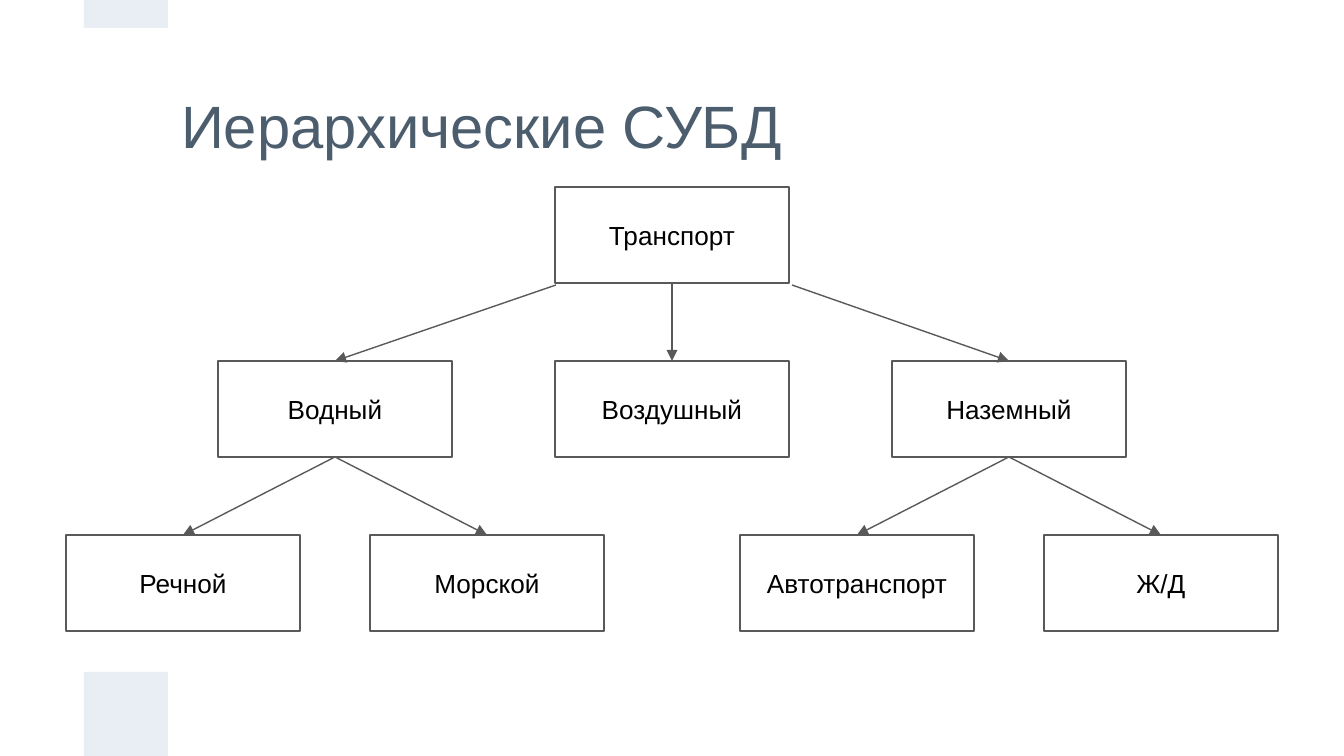
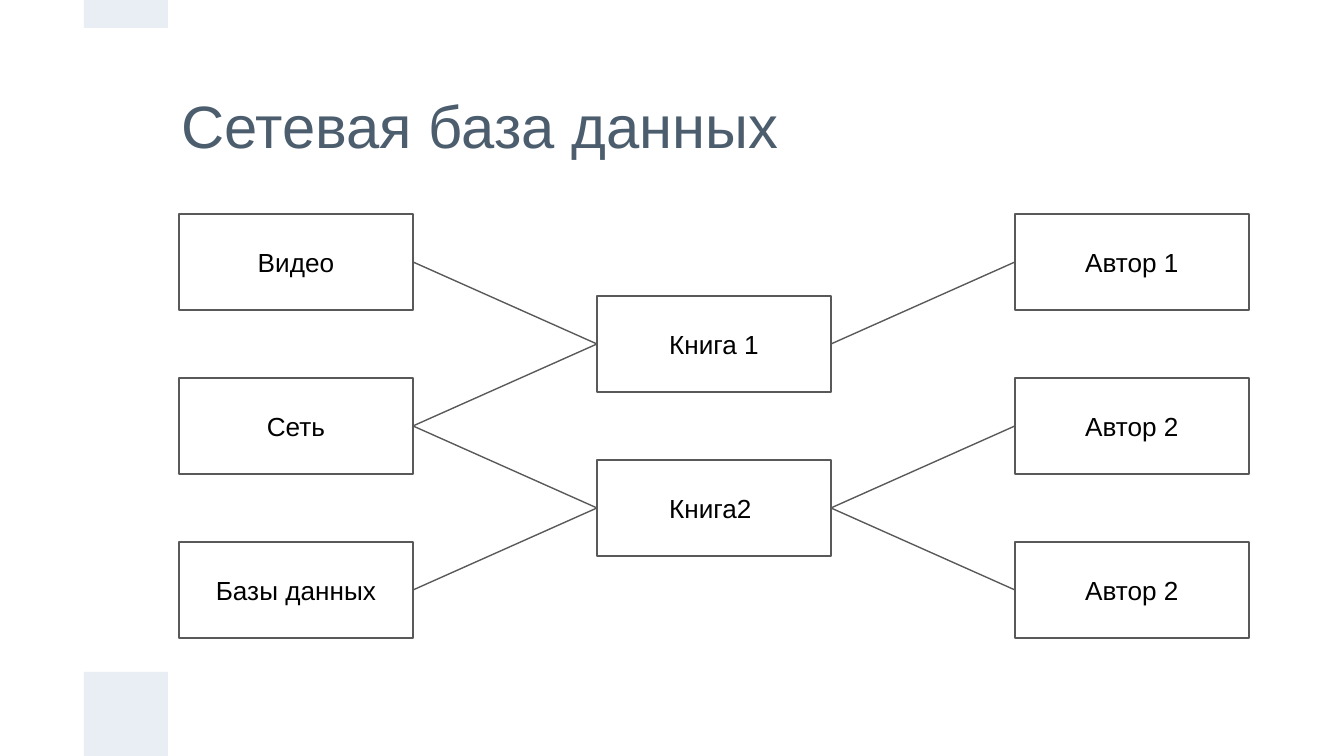
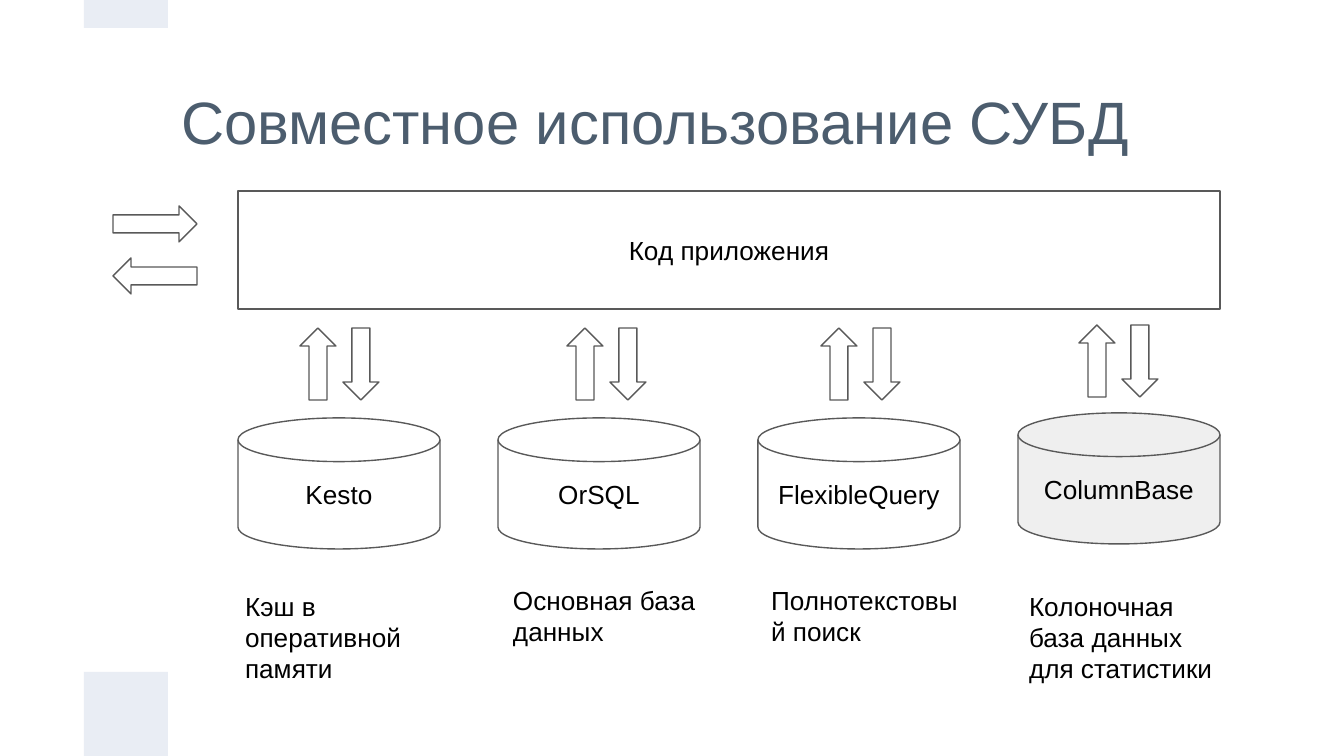
from lxml import etree
from pptx import Presentation
from pptx.dml.color import RGBColor
from pptx.enum.shapes import MSO_CONNECTOR, MSO_SHAPE
from pptx.enum.text import MSO_ANCHOR, MSO_AUTO_SIZE, PP_ALIGN
from pptx.oxml.ns import qn
from pptx.util import Pt

RECT = MSO_SHAPE.RECTANGLE
DISK = MSO_SHAPE.FLOWCHART_MAGNETIC_DISK
RIGHT_ARROW, LEFT_ARROW = MSO_SHAPE.RIGHT_ARROW, MSO_SHAPE.LEFT_ARROW
UP_ARROW, DOWN_ARROW = MSO_SHAPE.UP_ARROW, MSO_SHAPE.DOWN_ARROW
STRAIGHT = MSO_CONNECTOR.STRAIGHT
LEFT, CENTER = PP_ALIGN.LEFT, PP_ALIGN.CENTER
TOP, MIDDLE = MSO_ANCHOR.TOP, MSO_ANCHOR.MIDDLE
NO_FIT = MSO_AUTO_SIZE.NONE

# Connection sites of a rectangle
SITE_TOP, SITE_LEFT, SITE_BOTTOM, SITE_RIGHT = range(4)

EMU_PER_PX = 914400 / 134.4
BOX_W, BOX_H = 234, 96


def px(n):
    return round(n * EMU_PER_PX)


def rgb(value):
    return RGBColor.from_string(value)


class Deck:
    FONT = "Arial"
    TITLE, TEXT, LINE, BAND, GREY = "4C5D6E", "000000", "595959", "E9EDF4", "EFEFEF"
    TITLE_SIZE, TEXT_SIZE, LINE_WIDTH = 32, 14, 0.75
    INSET = 13

    def __init__(self):
        self.prs = Presentation()
        self.prs.slide_width, self.prs.slide_height = px(1344), px(756)
        self.slide = None

    def add_slide(self, title, at=(168, 63, 1008, 124)):
        self.slide = self.prs.slides.add_slide(self.prs.slide_layouts[5])
        sp = self.slide.shapes.title
        sp.left, sp.top, sp.width, sp.height = map(px, at)
        self.set_text(sp, title, self.TITLE_SIZE, self.TITLE, LEFT, MIDDLE)
        for top, height in ((672, 84), (0, 28)):
            self.shape(RECT, (84, top, 84, height), fill=self.BAND, outlined=False)

    def set_text(self, sp, text, size, color, align, anchor):
        tf = sp.text_frame
        tf.word_wrap, tf.auto_size, tf.vertical_anchor = True, NO_FIT, anchor
        tf.margin_left = tf.margin_right = px(self.INSET)
        tf.margin_top = tf.margin_bottom = px(self.INSET)
        p = tf.paragraphs[0]
        p.text, p.alignment = text, align
        p.font.name, p.font.size = self.FONT, Pt(size)
        p.font.color.rgb = rgb(color)

    def shape(self, kind, at, text="", fill=None, outlined=True):
        sp = self.slide.shapes.add_shape(kind, *map(px, at))
        sp.shadow.inherit = False
        if fill:
            sp.fill.solid()
            sp.fill.fore_color.rgb = rgb(fill)
        else:
            sp.fill.background()
        if outlined:
            sp.line.color.rgb = rgb(self.LINE)
            sp.line.width = Pt(self.LINE_WIDTH)
        else:
            sp.line.fill.background()
        if text:
            self.set_text(sp, text, self.TEXT_SIZE, self.TEXT, CENTER, MIDDLE)
        return sp

    def box(self, left, top, text):
        return self.shape(RECT, (left, top, BOX_W, BOX_H), text)

    def label(self, at, text):
        sp = self.slide.shapes.add_textbox(*map(px, at))
        self.set_text(sp, text, self.TEXT_SIZE, self.TEXT, LEFT, TOP)

    def link(self, start, end, arrow=False):
        """Each end is a (shape, site) pair; the start may be an (x, y) point."""
        is_point = isinstance(start[0], int)
        x, y = map(px, start) if is_point else (0, 0)
        c = self.slide.shapes.add_connector(STRAIGHT, x, y, x, y)
        if not is_point:
            c.begin_connect(*start)
        c.end_connect(*end)
        c.line.color.rgb = rgb(self.LINE)
        c.line.width = Pt(self.LINE_WIDTH)
        props = c.element.spPr
        if arrow:
            etree.SubElement(props.find(qn("a:ln")), qn("a:tailEnd"), type="triangle")
        etree.SubElement(props, qn("a:effectLst"))


deck = Deck()

# Slide 1: hierarchy
deck.add_slide("Иерархические СУБД")
MID_X, BRANCH_DX, LEAF_DX = 672, 337, 152


def node(center, level, text):
    return deck.box(center - BOX_W // 2, 187 + 174 * level, text)


root = node(MID_X, 0, "Транспорт")
branches = (
    (-1, "Водный", (556, 285), ("Речной", "Морской")),
    (0, "Воздушный", (root, SITE_BOTTOM), ()),
    (1, "Наземный", (792, 285), ("Автотранспорт", "Ж/Д")),
)
for side, name, start, leaves in branches:
    center = MID_X + side * BRANCH_DX
    branch = node(center, 1, name)
    deck.link(start, (branch, SITE_TOP), arrow=True)
    for leaf_side, leaf_name in zip((-1, 1), leaves):
        leaf = node(center + leaf_side * LEAF_DX, 2, leaf_name)
        deck.link((branch, SITE_BOTTOM), (leaf, SITE_TOP), arrow=True)

# Slide 2: network, the middle column half a step lower
deck.add_slide("Сетевая база данных")
columns = (
    (0, ("Видео", "Сеть", "Базы данных")),
    (82, ("Книга 1", "Книга2 ")),
    (0, ("Автор 1", "Автор 2", "Автор 2")),
)
topics, books, authors = [
    [deck.box(179 + 418 * col, 214 + shift + 164 * row, name)
     for row, name in enumerate(names)]
    for col, (shift, names) in enumerate(columns)
]
for topic, book in ((0, 0), (1, 0), (2, 1), (1, 1)):
    deck.link((topics[topic], SITE_RIGHT), (books[book], SITE_LEFT))
for author, book in ((0, 0), (1, 1), (2, 1)):
    deck.link((authors[author], SITE_LEFT), (books[book], SITE_RIGHT))

# Slide 3: application code over its stores
deck.add_slide("Совместное использование СУБД", (168, 62, 1054, 118))
deck.shape(RECT, (238, 191, 982, 118), "Код приложения")
for kind, top in ((RIGHT_ARROW, 206), (LEFT_ARROW, 258)):
    deck.shape(kind, (113, top, 84, 36))

# Name, fill, disk top, arrows left and top, caption left and top, caption
stores = (
    ("Kesto", None, 418, 300, 328, 232, 577, "Кэш в оперативной памяти"),
    ("OrSQL", None, 418, 567, 328, 500, 571, "Основная база данных"),
    ("FlexibleQuery", None, 418, 821, 328, 758, 571, "Полнотекстовый поиск"),
    ("ColumnBase", deck.GREY, 413, 1079, 325, 1016, 577,
     "Колоночная база данных для статистики"),
)
for i, (name, fill, top, arrow_x, arrow_y, text_x, text_y, text) in enumerate(stores):
    deck.shape(DISK, (238 + 260 * i, top, 202, 131), name, fill)
    deck.shape(UP_ARROW, (arrow_x, arrow_y, 36, 72))
    deck.shape(DOWN_ARROW, (arrow_x + 43, arrow_y, 36, 72))
    deck.label((text_x, text_y, 215, 83), text)

deck.prs.save("out.pptx")
